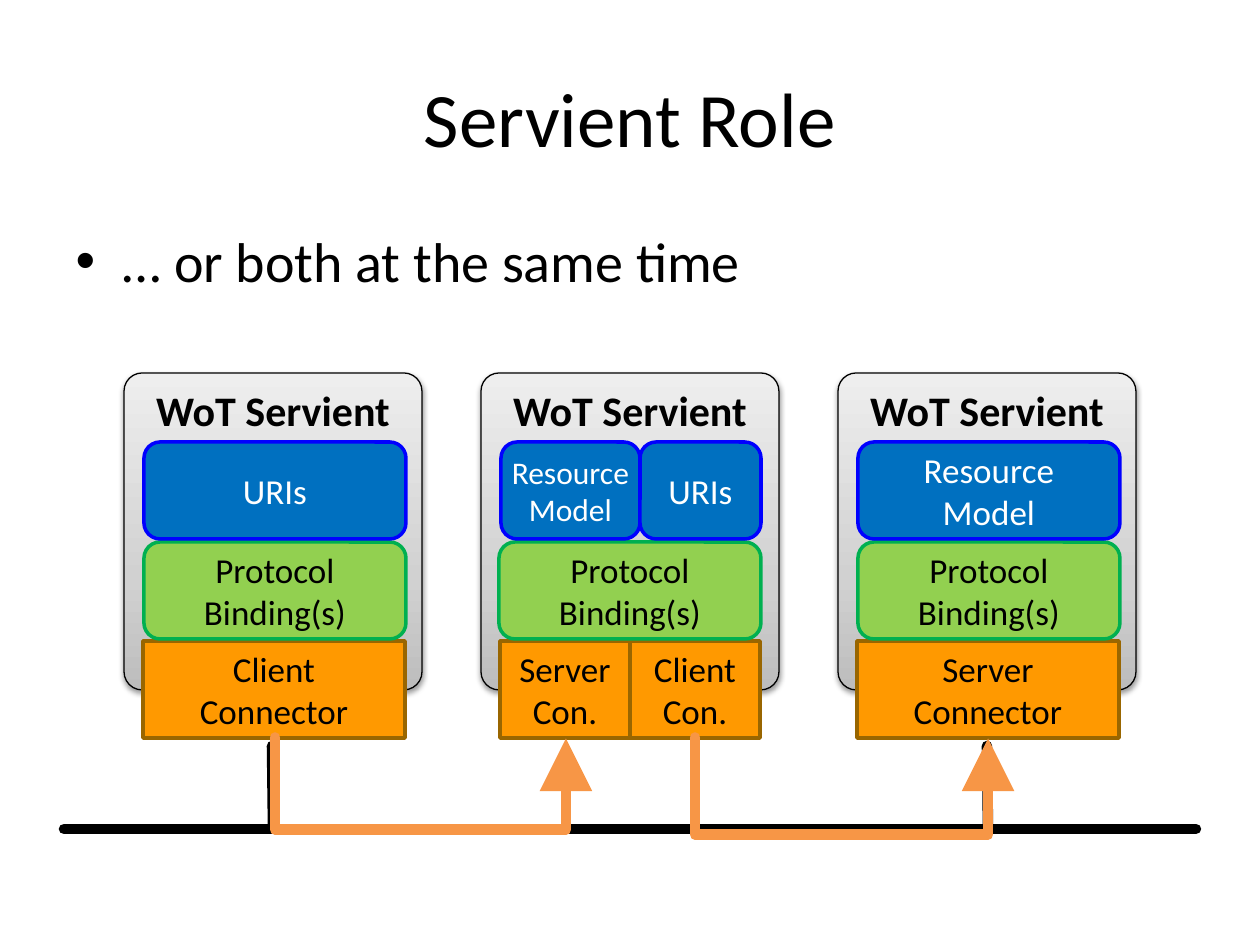
from lxml.etree import SubElement
from pptx import Presentation
from pptx.dml.color import RGBColor
from pptx.enum.shapes import MSO_CONNECTOR as LINK, MSO_SHAPE as SHAPE
from pptx.enum.text import MSO_ANCHOR as ANCHOR, PP_ALIGN as ALIGN
from pptx.oxml import parse_xml
from pptx.oxml.ns import nsdecls, qn
from pptx.util import Pt

# Content: each layer lists (label, offset from the panel's left, width)
TITLE = "Servient Role"
BULLET = "… or both at the same time"
PANEL_LABEL = "WoT Servient"
SERVIENTS = [
    {"connector": [("Client Connector", 19, 262)],
     "binding": [("Protocol\nBinding(s)", 20, 262)],
     "resource": [("URIs", 20, 262)]},
    {"connector": [("Server\nCon.", 19, 130), ("Client\nCon.", 149, 130)],
     "binding": [("Protocol\nBinding(s)", 18, 262)],
     "resource": [("Resource\nModel", 20, 139), ("URIs", 159, 121)]},
    {"connector": [("Server\nConnector", 19, 262)],
     "binding": [("Protocol\nBinding(s)", 20, 262)],
     "resource": [("Resource\nModel", 20, 262)]},
]
NARROW_LABEL = ("Resource\nModel", 139)

# Layout in px, 126 to the inch
PX = 914400 / 126
SLIDE = (1260, 945)
TITLE_BOX = (63, 38, 1134, 157)
BODY_BOX = (63, 220, 1134, 624)
PANEL_LEFT, PANEL_TOP, PANEL_W, PANEL_H, PANEL_PITCH = 124, 373, 298, 317, 357
LAYER_H = 97
BUS = (64, 829, 1196, 829)
STUBS = [(273, 827, 272, 746), (988, 827, 987, 746)]
REQUESTS = [(275, 566, 738, 93), (695, 988, 738, 98)]  # from x, to x, y, depth

COLORS = {
    "black": "000000", "white": "FFFFFF", "request": "F79646",
    "panel low": "BDBDBD", "panel mid": "D1D1D1", "panel high": "EEEEEE",
}
LAYERS = {
    "connector": {"top": 641, "fill": "FF9900", "line": "996600", "text": "black", "round": 0},
    "binding": {"top": 542, "fill": "92D050", "line": "00B050", "text": "black", "round": 0.1667},
    "resource": {"top": 442, "fill": "0070C0", "line": "0000FF", "text": "white", "round": 0.1667},
}
FONTS = {
    "title": {"name": "Calibri", "size": Pt(44)},
    "body": {"name": "Calibri", "size": Pt(32)},
    "panel": {"name": "Calibri", "size": Pt(24), "bold": True},
    "layer": {"name": "Calibri", "size": Pt(20)},
    "narrow": {"name": "Calibri", "size": Pt(18)},
}


def emu(*lengths):
    return [round(length * PX) for length in lengths]


def rgb(name):
    return RGBColor.from_string(COLORS.get(name, name))


def write(frame, text, style, color="black", align=ALIGN.CENTER):
    paragraph = frame.paragraphs[0]
    paragraph.text = text
    paragraph.alignment = align
    for attribute, value in FONTS[style].items():
        setattr(paragraph.font, attribute, value)
    paragraph.font.color.rgb = rgb(color)


def add_box(slide, box, rounding, line, weight):
    shape = slide.shapes.add_shape(SHAPE.ROUNDED_RECTANGLE, *emu(*box))
    shape.adjustments[0] = rounding
    shape.shadow.inherit = False
    shape.line.color.rgb = rgb(line)
    shape.line.width = Pt(weight)
    return shape


def add_panel(slide, left):
    panel = add_box(slide, (left, PANEL_TOP, PANEL_W, PANEL_H), 0.061, "black", 0.75)
    stops = "".join(
        f'<a:gs pos="{position}"><a:srgbClr val="{COLORS[name]}"/></a:gs>'
        for position, name in [(0, "panel low"), (35000, "panel mid"), (100000, "panel high")])
    properties = panel._element.spPr
    properties.find(qn("a:prstGeom")).addnext(parse_xml(
        f'<a:gradFill {nsdecls("a")} rotWithShape="1"><a:gsLst>{stops}</a:gsLst>'
        '<a:lin ang="16200000" scaled="1"/></a:gradFill>'))
    properties.find(qn("a:effectLst")).append(parse_xml(
        f'<a:outerShdw {nsdecls("a")} blurRad="40000" dist="20000" dir="5400000" '
        'rotWithShape="0"><a:srgbClr val="000000"><a:alpha val="38000"/></a:srgbClr>'
        '</a:outerShdw>'))
    panel.text_frame.word_wrap = False
    panel.text_frame.vertical_anchor = ANCHOR.TOP
    write(panel.text_frame, PANEL_LABEL, "panel")


def add_layer_part(slide, panel_left, layer, label, offset, width):
    part = add_box(slide, (panel_left + offset, layer["top"], width, LAYER_H),
                   layer["round"], layer["line"], 2)
    part.fill.solid()
    part.fill.fore_color.rgb = rgb(layer["fill"])
    frame = part.text_frame
    frame.word_wrap = True
    frame.vertical_anchor = ANCHOR.MIDDLE
    narrow = (label, width) == NARROW_LABEL
    if narrow:
        frame.margin_left = frame.margin_right = 0
    write(frame, label, "narrow" if narrow else "layer", layer["text"])


def add_link(slide, kind, ends, color):
    link = slide.shapes.add_connector(kind, *emu(*ends))
    link.line.color.rgb = rgb(color)
    link.line.width = Pt(6)
    outline = link.line._get_or_add_ln()
    outline.set("cap", "rnd")
    SubElement(outline, qn("a:round"))
    SubElement(link._element.spPr, qn("a:effectLst"))
    return link, outline


def add_request(slide, start, end, y, depth):
    # A one px wide elbow, turned by 270 degrees, dips by depth px
    middle, half = (start + end) / 2, (end - start) / 2
    link, outline = add_link(slide, LINK.ELBOW,
                             (middle + 0.5, y - half, middle - 0.5, y + half), "request")
    properties = link._element.spPr
    properties.find(qn("a:xfrm")).set("rot", "16200000")
    geometry = properties.find(qn("a:prstGeom"))
    guides = geometry.find(qn("a:avLst"))
    if guides is None:
        guides = SubElement(geometry, qn("a:avLst"))
    SubElement(guides, qn("a:gd"), name="adj1", fmla=f"val {depth * 100000}")
    SubElement(outline, qn("a:tailEnd"), type="triangle", w="lg", len="lg")


def main():
    deck = Presentation()
    deck.slide_width, deck.slide_height = emu(*SLIDE)
    slide = deck.slides.add_slide(deck.slide_layouts[1])

    # Title and bullet
    title, body = slide.shapes.title, slide.placeholders[1]
    for holder, box in [(title, TITLE_BOX), (body, BODY_BOX)]:
        holder.left, holder.top, holder.width, holder.height = emu(*box)
    write(title.text_frame, TITLE, "title")
    write(body.text_frame, BULLET, "body", align=ALIGN.LEFT)

    # Servients, with their layers from bottom to top
    for index, servient in enumerate(SERVIENTS):
        left = PANEL_LEFT + index * PANEL_PITCH
        add_panel(slide, left)
        for name, parts in servient.items():
            for part in parts:
                add_layer_part(slide, left, LAYERS[name], *part)

    # Network and requests
    for ends in [BUS, *STUBS]:
        add_link(slide, LINK.STRAIGHT, ends, "black")
    for request in REQUESTS:
        add_request(slide, *request)

    deck.save("out.pptx")


if __name__ == "__main__":
    main()
